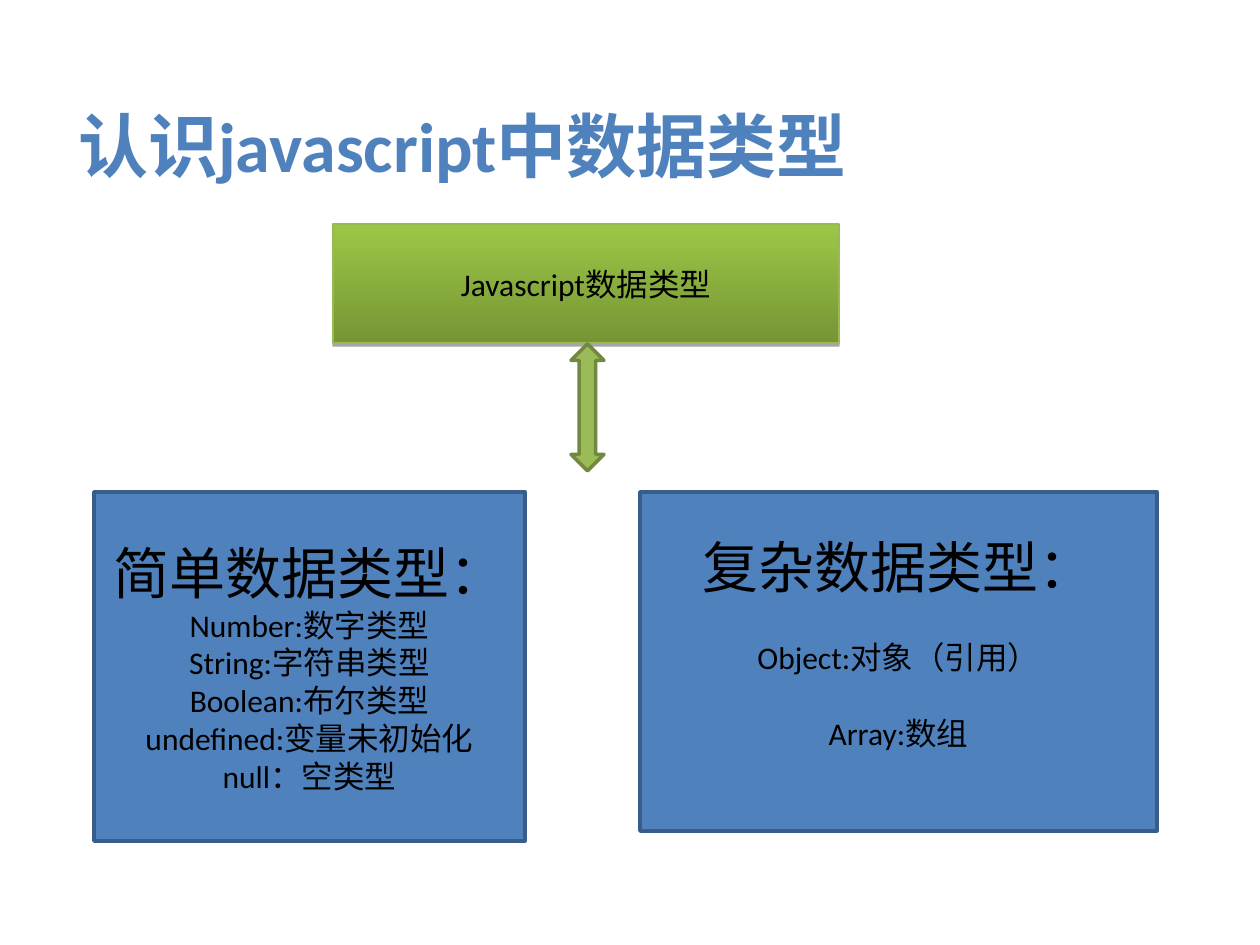
from lxml.etree import SubElement
from pptx import Presentation
from pptx.dml.color import RGBColor
from pptx.enum.shapes import MSO_SHAPE
from pptx.enum.text import MSO_ANCHOR, PP_ALIGN
from pptx.oxml.ns import qn
from pptx.util import Emu, Pt

PX = 914400 // 126
FONT = "Calibri"
BLACK, BLUE, DARK_BLUE = "000000", "4F81BD", "385D8A"
GREEN, DARK_GREEN = "9BBB59", "71893F"
ROOT_BORDER, ROOT_BOTTOM, ROOT_TOP = "98B954", "769535", "9CC746"
HEADING_SIZE, BODY_SIZE = 32, 18
BLANK_LINE = 22  # points

TITLE = "认识javascript中数据类型"
TITLE_BOX = (66, 96, 1150, 97)
ROOT = "Javascript数据类型"
ROOT_BOX = (333, 224, 506, 119)
ARROW_BOX = (571, 344, 33, 127)

# box, heading, items, points between lines, bottom inset in px
TYPE_GROUPS = [
    ((94, 492, 431, 349), "简单数据类型：",
     ["Number:数字类型", "String:字符串类型", "Boolean:布尔类型",
      "undefined:变量未初始化", "null：空类型"], 0, 6),
    ((640, 492, 517, 339), "复杂数据类型：",
     ["Object:对象（引用）", "Array:数组"], BLANK_LINE, 45),
]


def color(value):
    return RGBColor.from_string(value)


def px(*lengths):
    return [Emu(length * PX) for length in lengths]


def add_box(slide, preset, box, fill, line, line_width):
    shape = slide.shapes.add_shape(preset, *px(*box))
    shape.shadow.inherit = False
    shape.fill.solid()
    shape.fill.fore_color.rgb = color(fill)
    shape.line.color.rgb = color(line)
    shape.line.width = Pt(line_width)
    return shape


def write_lines(shape, lines, text_color=BLACK, bold=False, align=PP_ALIGN.CENTER, gap=0):
    """Write (text, size) lines, with gap points before each line but the first."""
    frame = shape.text_frame
    frame.word_wrap = True
    frame.text = "\n".join(text for text, _ in lines)
    for index, (paragraph, (_, size)) in enumerate(zip(frame.paragraphs, lines)):
        paragraph.alignment = align
        if gap and index:
            paragraph.space_before = Pt(gap)
        for run in paragraph.runs:
            run.font.name = FONT
            run.font.size = Pt(size)
            run.font.bold = bold
            run.font.color.rgb = color(text_color)


def add_lower_shadow(shape):
    effects = shape._element.spPr.find(qn("a:effectLst"))
    shadow = SubElement(effects, qn("a:outerShdw"), blurRad="0",
                        dist=str(Pt(1.8)), dir="5400000", rotWithShape="0")
    shade = SubElement(shadow, qn("a:srgbClr"), val=BLACK)
    SubElement(shade, qn("a:alpha"), val="35000")


def add_title(slide):
    title = slide.shapes.add_textbox(*px(*TITLE_BOX))
    write_lines(title, [(TITLE, 40)], BLUE, bold=True, align=PP_ALIGN.LEFT)


def add_root(slide):
    root = add_box(slide, MSO_SHAPE.RECTANGLE, ROOT_BOX, GREEN, ROOT_BORDER, 0.75)
    root.fill.gradient()
    root.fill.gradient_angle = 90
    for stop, shade, position in zip(root.fill.gradient_stops, (ROOT_BOTTOM, ROOT_TOP), (0, 1)):
        stop.color.rgb = color(shade)
        stop.position = position
    add_lower_shadow(root)
    root.text_frame.vertical_anchor = MSO_ANCHOR.MIDDLE
    write_lines(root, [(ROOT, BODY_SIZE)])


def add_type_group(slide, box, heading, items, gap, bottom_inset):
    group = add_box(slide, MSO_SHAPE.FLOWCHART_PROCESS, box, BLUE, DARK_BLUE, 2)
    frame = group.text_frame
    frame.vertical_anchor = MSO_ANCHOR.MIDDLE
    frame.margin_bottom = px(bottom_inset)[0]
    # The process shape narrows its text area, so the side insets stay at their defaults.
    lines = [(heading, HEADING_SIZE)] + [(item, BODY_SIZE) for item in items]
    write_lines(group, lines, gap=gap)


def main():
    presentation = Presentation()
    presentation.slide_width, presentation.slide_height = px(1260, 945)
    slide = presentation.slides.add_slide(presentation.slide_layouts[6])
    add_title(slide)
    add_root(slide)
    arrow = add_box(slide, MSO_SHAPE.UP_DOWN_ARROW, ARROW_BOX, GREEN, DARK_GREEN, 2)
    arrow.adjustments[0] = arrow.adjustments[1] = 0.5
    for group in TYPE_GROUPS:
        add_type_group(slide, *group)
    presentation.save("out.pptx")


if __name__ == "__main__":
    main()
